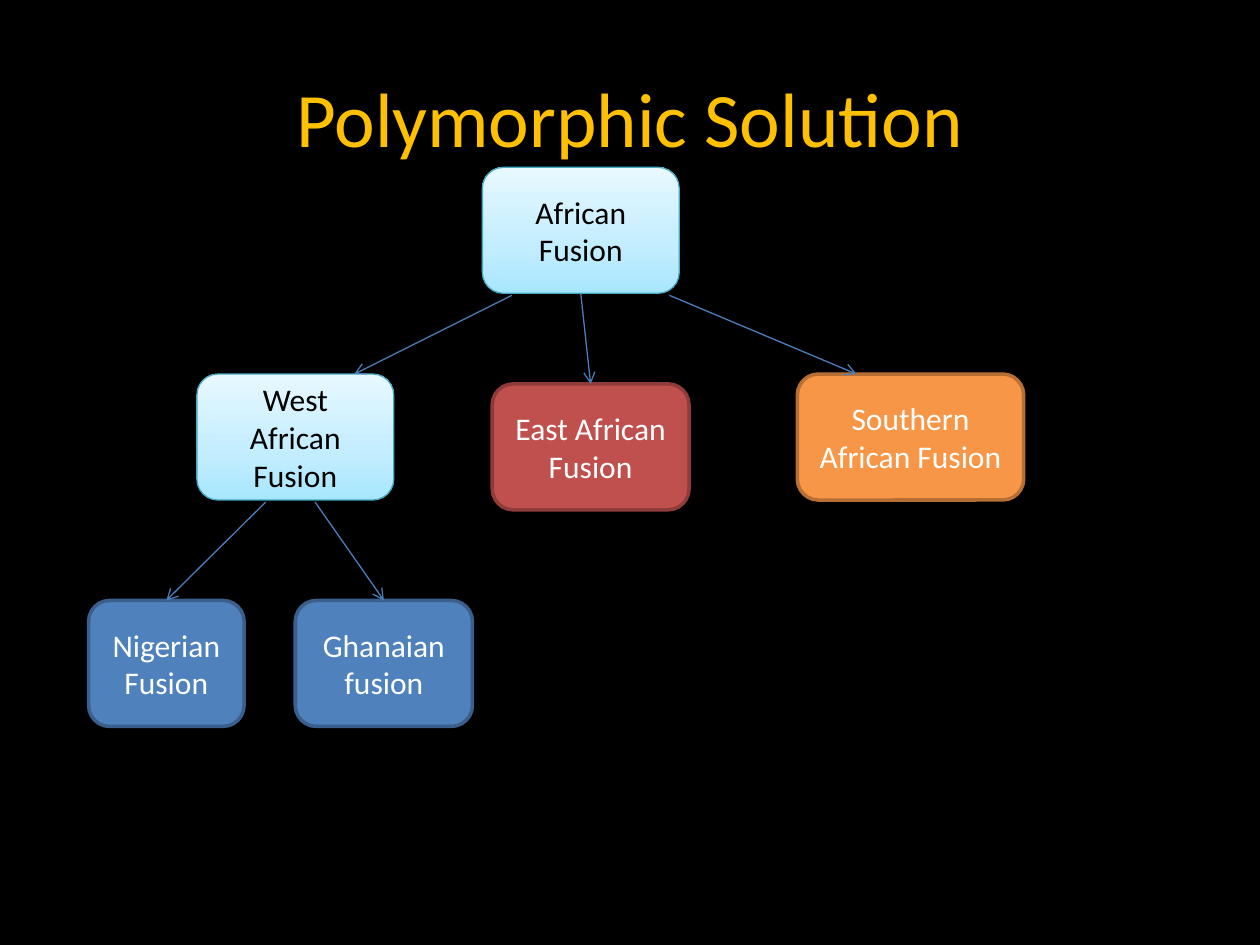
from copy import deepcopy

from pptx import Presentation
from pptx.dml.color import RGBColor
from pptx.enum import shapes, text
from pptx.oxml import ns, xmlchemy
from pptx.util import Pt

COLORS = {
    "background": "000000", "title": "FFC000", "arrow": "4B7EBC",
    "dark": "000000", "light": "FFFFFF",
    "parent_edge": "46AAC5",
    "east": "C0504D", "east_edge": "8E3B39",
    "southern": "F79646", "southern_edge": "B76F34",
    "country": "4F81BD", "country_edge": "3A5F8C",
}
PARENT_STOPS = [(0, "A7E6FF"), (0.35, "C1EDFF"), (1, "E7F8FF")]
BOX_HEIGHT = 72


def color(name):
    return RGBColor.from_string(COLORS[name])


def write(holder, words, size, color_name):
    frame = holder.text_frame
    frame.word_wrap = True
    frame.vertical_anchor = text.MSO_ANCHOR.MIDDLE
    paragraph = frame.paragraphs[0]
    paragraph.text = words
    paragraph.alignment = text.PP_ALIGN.CENTER
    paragraph.font.name = "Calibri"
    paragraph.font.size = Pt(size)
    paragraph.font.color.rgb = color(color_name)


deck = Presentation()
deck.slide_width, deck.slide_height = Pt(720), Pt(540)
slide = deck.slides.add_slide(deck.slide_layouts[6])
slide.background.fill.solid()
slide.background.fill.fore_color.rgb = color("background")

title = slide.shapes.add_textbox(Pt(36), Pt(21.6), Pt(648), Pt(90))
write(title, "Polymorphic Solution", 44, "title")

fusions = [
    ("West African Fusion", 112.5, 213.75, 112.5, "parent"),
    ("East African Fusion", 281.25, 219.38, 112.5, "east"),
    ("Southern African Fusion", 455.63, 213.75, 129.38, "southern"),
    ("African Fusion", 275.63, 95.63, 112.5, "parent"),
    ("Nigerian Fusion", 50.63, 343.13, 88.88, "country"),
    ("Ghanaian fusion", 168.75, 343.13, 101.25, "country"),
]
for words, left, top, width, kind in fusions:
    fusion = slide.shapes.add_shape(
        shapes.MSO_SHAPE.ROUNDED_RECTANGLE, Pt(left), Pt(top), Pt(width), Pt(BOX_HEIGHT))
    fusion.shadow.inherit = False
    fusion.line.color.rgb = color(kind + "_edge")
    if kind == "parent":
        fusion.fill.gradient()
        fusion.fill.gradient_angle = 90
        first_stop = fusion._element.spPr.find(".//" + ns.qn("a:gs"))
        first_stop.addnext(deepcopy(first_stop))
        for stop, (position, shade) in zip(fusion.fill.gradient_stops, PARENT_STOPS):
            stop.position = position
            stop.color.rgb = RGBColor.from_string(shade)
        fusion.line.width = Pt(0.75)
        write(fusion, words, 18, "dark")
    else:
        fusion.fill.solid()
        fusion.fill.fore_color.rgb = color(kind)
        fusion.line.width = Pt(2)
        write(fusion, words, 18, "light")

branches = [
    (292.5, 168.75, 202.5, 213.75),
    (331.88, 167.63, 337.5, 219.38),
    (382.5, 168.75, 489.38, 213.75),
    (151.88, 286.88, 95.06, 343.13),
    (180, 286.88, 219.38, 343.13),
]
for ends in branches:
    branch = slide.shapes.add_connector(
        shapes.MSO_CONNECTOR.STRAIGHT, *(Pt(end) for end in ends))
    branch.line.color.rgb = color("arrow")
    branch.line.width = Pt(0.75)
    arrowhead = xmlchemy.OxmlElement("a:tailEnd")
    arrowhead.set("type", "arrow")
    branch.line._get_or_add_ln().append(arrowhead)
    branch._element.spPr.append(xmlchemy.OxmlElement("a:effectLst"))

deck.save("out.pptx")
